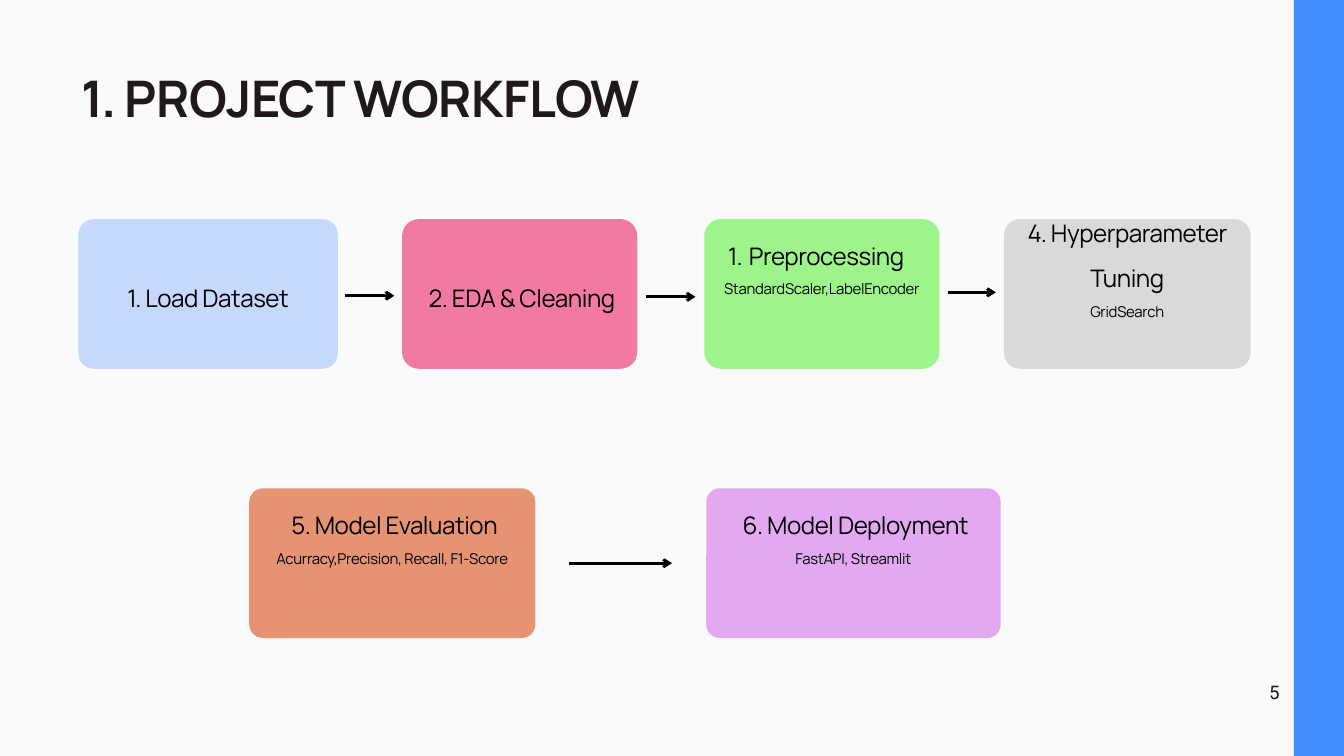
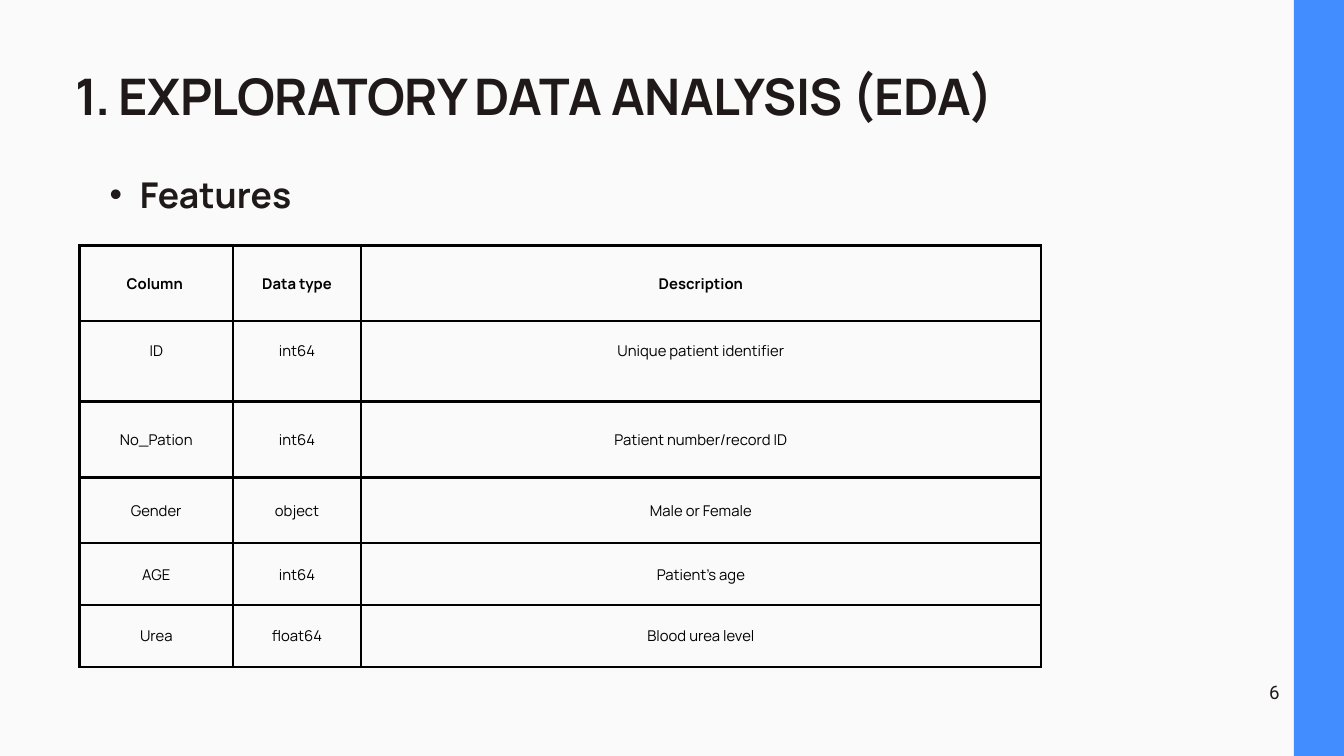
from lxml import etree
from pptx import Presentation
from pptx.dml.color import RGBColor
from pptx.enum import shapes, text
from pptx.oxml import ns
from pptx.util import Pt

COLORS = {
    "background": "FAFAFA", "band": "428DFF", "heading": "1F191A", "black": "000000",
    "load": "C6D8FB", "clean": "F179A4", "preprocess": "9DF48B",
    "tune": "D9D9D9", "evaluate": "E59372", "deploy": "E2A9F1",
}
FONT = "Manrope"
CENTER = text.PP_ALIGN.CENTER
MIDDLE = text.MSO_ANCHOR.MIDDLE

CARD_HEIGHT = 160.4
CORNER_FACTOR = 4540  # corner radius times card width
TOP_ROW, BOTTOM_ROW = 234.7, 523.2
# Heading and detail line spacing of each row of cards
ROW_SPACING = {TOP_ROW: (48.2, 29.8), BOTTOM_ROW: (48.7, 30.1)}

# Left, top, width, color, heading, detail
STEPS = [
    (84, TOP_ROW, 278, "load", "1. Load Dataset", None),
    (430.8, TOP_ROW, 252, "clean", " 2. EDA & Cleaning", None),
    (754.6, TOP_ROW, 252, "preprocess", "Preprocessing", "StandardScaler,LabelEncoder"),
    (1075.7, TOP_ROW, 264.2, "tune", "4. Hyperparameter Tuning", "GridSearch"),
    (267, BOTTOM_ROW, 306.7, "evaluate", " 5. Model Evaluation",
     "Acurracy,Precision, Recall, F1-Score"),
    (756.7, BOTTOM_ROW, 315.4, "deploy", " 6. Model Deployment", "FastAPI, Streamlit"),
]
# Start x, end x, y
ARROWS = [(370, 422.6, 316.8), (692.6, 745.2, 318),
          (1015.2, 1067, 313.2), (609.8, 720, 603.4)]

FEATURES = [
    ("Column ", "Data type", "Description"),
    ("ID", "int64", "Unique patient identifier"),
    ("No_Pation", "int64", "Patient number/record ID"),
    ("Gender", "object", "Male or Female"),
    ("AGE", "int64", "Patient's age"),
    ("Urea", "float64", "Blood urea level"),
]
COLUMN_WIDTHS = [164.9, 136.8, 728.6]
ROW_HEIGHTS = [80.8, 86.4, 81.4, 70.6, 66.2, 66.2]
CELL_MARGIN = 15
RAISED_ROW = 1  # the ID row's text sits above the middle
RAISED_MARGIN = 37


def color(name):
    return RGBColor.from_string(COLORS[name])


def add_child(parent, tag, **attributes):
    return etree.SubElement(parent, ns.qn(tag), attributes)


def add_text_box(slide, left, top, width, height, margin=0, anchor=text.MSO_ANCHOR.TOP,
                 wrap=True):
    frame = slide.shapes.add_textbox(Pt(left), Pt(top), Pt(width), Pt(height)).text_frame
    frame.word_wrap = wrap
    frame.vertical_anchor = anchor
    frame.margin_left = frame.margin_right = Pt(margin)
    frame.margin_top = frame.margin_bottom = Pt(margin)
    return frame


def add_run(paragraph, words, size, line, fill="black", bold=False, tracking=0, font=FONT):
    paragraph.line_spacing = Pt(line)
    run = paragraph.add_run()
    run.text = words
    run.font.name = font
    run.font.size = Pt(size)
    run.font.bold = bold
    run.font.color.rgb = color(fill)
    if tracking:
        run._r.get_or_add_rPr().set("spc", str(round(tracking * 100)))


def set_bullet(paragraph, margin, hanging, character=None):
    """Give the paragraph a bullet character, or a number if there is none."""
    properties = paragraph._p.get_or_add_pPr()
    properties.set("marL", str(Pt(margin)))
    properties.set("indent", str(-Pt(hanging)))
    if character:
        add_child(properties, "a:buFont", typeface="Arial")
        add_child(properties, "a:buChar", char=character)
    else:
        add_child(properties, "a:buFont", typeface=FONT)
        add_child(properties, "a:buAutoNum", type="arabicPeriod")


def add_filled_shape(slide, kind, left, top, width, height, fill):
    shape = slide.shapes.add_shape(kind, Pt(left), Pt(top), Pt(width), Pt(height))
    shape.shadow.inherit = False
    shape.fill.solid()
    shape.fill.fore_color.rgb = color(fill)
    shape.line.fill.background()
    return shape


def start_slide(presentation, title, left, top, width, number):
    """Add a slide with background, side band, numbered title and page number."""
    slide = presentation.slides.add_slide(presentation.slide_layouts[6])
    slide.background.fill.solid()
    slide.background.fill.fore_color.rgb = color("background")
    # The band bleeds over the right, top and bottom edges
    add_filled_shape(slide, shapes.MSO_SHAPE.RECTANGLE, 1386.2, -37.4, 243.2, 884.2, "band")

    paragraph = add_text_box(slide, left, top, width, 58.3).paragraphs[0]
    set_bullet(paragraph, 92, 46)
    add_run(paragraph, title, 54, 50.2, "heading", bold=True, tracking=-0.5)

    paragraph = add_text_box(slide, 1359.2, 725, 12.2, 15.8, wrap=False).paragraphs[0]
    paragraph.alignment = CENTER
    add_run(paragraph, str(number), 20, 28, "heading", font="Roboto")
    return slide


def add_step(slide, left, top, width, fill, heading, detail):
    card = add_filled_shape(slide, shapes.MSO_SHAPE.ROUNDED_RECTANGLE,
                            left, top, width, CARD_HEIGHT, fill)
    card.adjustments[0] = CORNER_FACTOR / width / CARD_HEIGHT

    # The text area ends at the card's bottom edge
    offset = -69.4 if detail else 14.2
    frame = add_text_box(slide, left, top + offset, width, CARD_HEIGHT - offset, 4, MIDDLE)
    heading_line, detail_line = ROW_SPACING[top]
    paragraph = frame.paragraphs[0]
    if heading.strip()[0].isdigit():
        paragraph.alignment = CENTER
    else:
        set_bullet(paragraph, 43.9, 22.3)
    add_run(paragraph, heading, 25.9, heading_line if detail else 25.1, tracking=-0.5)
    if detail:
        paragraph = frame.add_paragraph()
        paragraph.alignment = CENTER
        add_run(paragraph, detail, 16, detail_line, tracking=-0.3)


def add_arrow(slide, start, end, y):
    arrow = slide.shapes.add_connector(shapes.MSO_CONNECTOR.STRAIGHT,
                                       Pt(start), Pt(y), Pt(end), Pt(y))
    arrow.line.color.rgb = color("black")
    arrow.line.width = Pt(3)
    add_child(arrow.line._get_or_add_ln(), "a:tailEnd", type="arrow")
    add_child(arrow._element.spPr, "a:effectLst")


def format_cell(cell, words, header, raised):
    cell.vertical_anchor = MIDDLE
    cell.margin_left = cell.margin_right = cell.margin_top = Pt(CELL_MARGIN)
    cell.margin_bottom = Pt(RAISED_MARGIN if raised else CELL_MARGIN)
    properties = cell._tc.get_or_add_tcPr()
    for side in ("a:lnL", "a:lnR", "a:lnT", "a:lnB"):
        border = add_child(properties, side, w=str(Pt(3)))
        add_child(add_child(border, "a:solidFill"), "a:srgbClr", val=COLORS["black"])
    cell.fill.background()
    paragraph = cell.text_frame.paragraphs[0]
    paragraph.alignment = CENTER
    add_run(paragraph, words, 15.9, 22.3, bold=header)


def add_feature_table(slide, left, top):
    table = slide.shapes.add_table(len(FEATURES), len(COLUMN_WIDTHS), Pt(left), Pt(top),
                                   Pt(sum(COLUMN_WIDTHS)), Pt(sum(ROW_HEIGHTS))).table
    table.first_row = table.horz_banding = False
    for column, width in zip(table.columns, COLUMN_WIDTHS):
        column.width = Pt(width)
    for index, (row, height) in enumerate(zip(table.rows, ROW_HEIGHTS)):
        row.height = Pt(height)
        for cell, words in zip(row.cells, FEATURES[index]):
            format_cell(cell, words, index == 0, index == RAISED_ROW)


def build_workflow(presentation):
    slide = start_slide(presentation, "PROJECT WORKFLOW", 41.6, 86.7, 802, 5)
    for step in STEPS:
        add_step(slide, *step)
    for arrow in ARROWS:
        add_arrow(slide, *arrow)


def build_features(presentation):
    slide = start_slide(presentation, "EXPLORATORY DATA ANALYSIS (EDA)", 35, 83.9, 1095.8, 6)
    paragraph = add_text_box(slide, 85, 151.2, 1202.4, 74.2).paragraphs[0]
    set_bullet(paragraph, 64.8, 32.4, "•")
    add_run(paragraph, "Features", 38, 80.2, "heading", bold=True)
    add_feature_table(slide, 85, 262.9)


def main():
    presentation = Presentation()
    presentation.slide_width = Pt(1440)
    presentation.slide_height = Pt(810)
    build_workflow(presentation)
    build_features(presentation)
    presentation.save("out.pptx")


if __name__ == "__main__":
    main()
